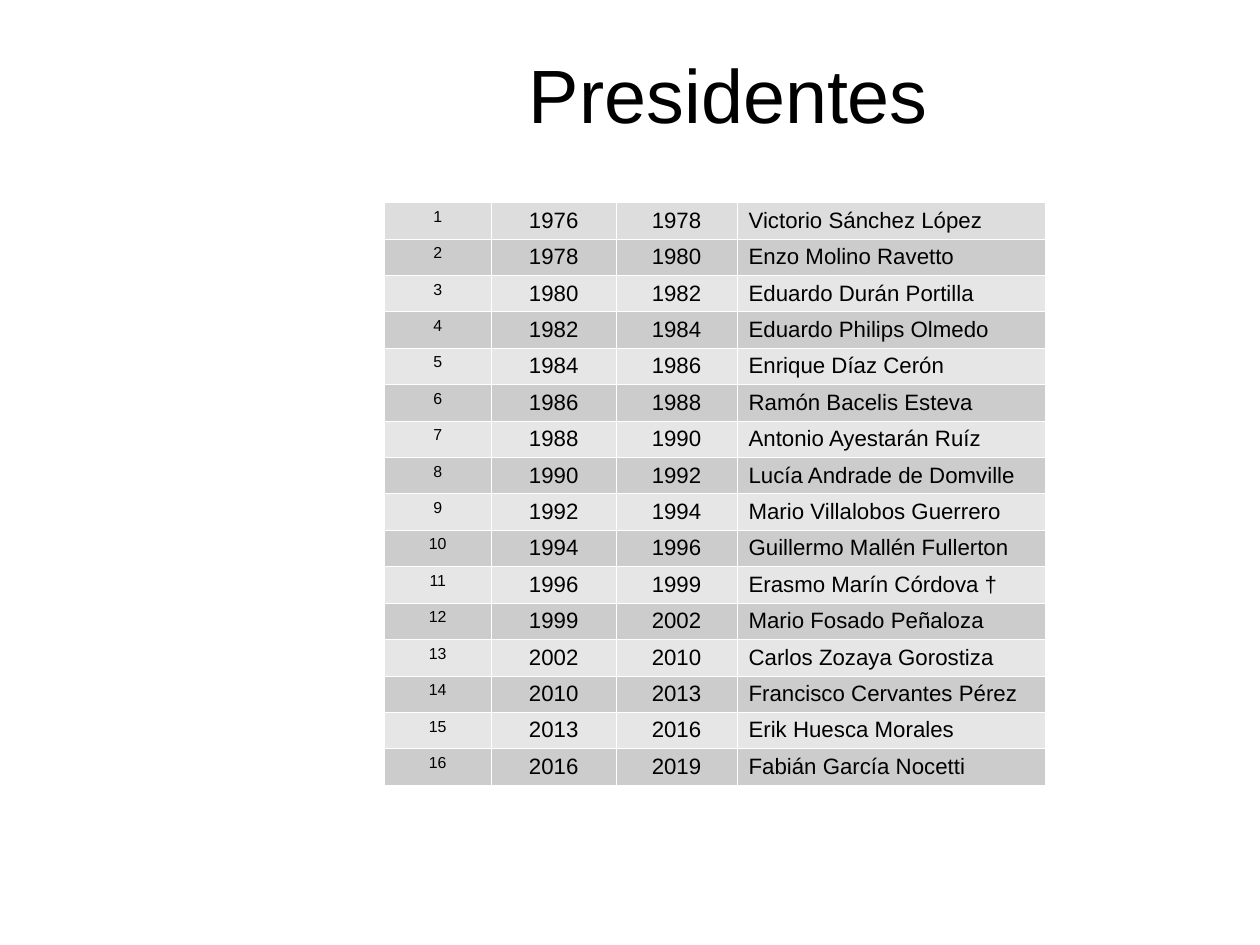
import itertools

import pptx
import pptx.dml.color
import pptx.enum.text
import pptx.oxml.ns
import pptx.util
from lxml import etree

RGBColor = pptx.dml.color.RGBColor
Cm = pptx.util.Cm
Inches = pptx.util.Inches
Pt = pptx.util.Pt
ALIGN = pptx.enum.text.PP_ALIGN

BLACK = RGBColor(0x00, 0x00, 0x00)
WHITE = RGBColor(0xFF, 0xFF, 0xFF)
FIRST_ROW = RGBColor(0xDD, 0xDD, 0xDD)
DARK_ROW = RGBColor(0xCC, 0xCC, 0xCC)
LIGHT_ROW = RGBColor(0xE6, 0xE6, 0xE6)

FONT = "Arial"
BORDER_WIDTH = Pt(0.06)
TABLE_HEIGHT = Inches(5.1)
BOTTOM_MARGIN = Inches(0.03)
COLUMN_WIDTHS = (0.94, 1.09, 1.06, 2.69)
COLUMN_SIZES = (10, 14, 14, 14)
COLUMN_ALIGNS = (ALIGN.CENTER, ALIGN.CENTER, ALIGN.CENTER, ALIGN.LEFT)

# Each term starts in the year the one before it ends.
TERM_YEARS = (1976, 1978, 1980, 1982, 1984, 1986, 1988, 1990, 1992,
              1994, 1996, 1999, 2002, 2010, 2013, 2016, 2019)
PRESIDENTS = (
    "Victorio Sánchez López",
    "Enzo Molino Ravetto",
    "Eduardo Durán Portilla",
    "Eduardo Philips Olmedo",
    "Enrique Díaz Cerón",
    "Ramón Bacelis Esteva",
    "Antonio Ayestarán Ruíz",
    "Lucía Andrade de Domville",
    "Mario Villalobos Guerrero",
    "Guillermo Mallén Fullerton",
    "Erasmo Marín Córdova †",
    "Mario Fosado Peñaloza",
    "Carlos Zozaya Gorostiza",
    "Francisco Cervantes Pérez",
    "Erik Huesca Morales",
    "Fabián García Nocetti",
)


def write(frame, text, size, align):
    para = frame.paragraphs[0]
    para.text = text
    para.alignment = align
    para.font.name = FONT
    para.font.size = Pt(size)
    para.font.color.rgb = BLACK


def add_title(page, text):
    box = page.shapes.add_textbox(Inches(2.83), Inches(0.31), Inches(7.09), Inches(1.02))
    frame = box.text_frame
    frame.word_wrap = True
    frame.vertical_anchor = pptx.enum.text.MSO_ANCHOR.MIDDLE
    frame.margin_left = frame.margin_top = frame.margin_right = frame.margin_bottom = 0
    write(frame, text, 47.6, ALIGN.CENTER)


def add_borders(cell):
    qn = pptx.oxml.ns.qn
    properties = cell._tc.get_or_add_tcPr()
    for side in ("a:lnL", "a:lnR", "a:lnT", "a:lnB"):
        line = etree.SubElement(properties, qn(side), w=str(BORDER_WIDTH))
        fill = etree.SubElement(line, qn("a:solidFill"))
        etree.SubElement(fill, qn("a:srgbClr"), val=str(WHITE))


def row_color(index):
    if index == 0:
        return FIRST_ROW
    return DARK_ROW if index % 2 else LIGHT_ROW


def add_table(page, rows):
    table = page.shapes.add_table(
        len(rows), len(COLUMN_WIDTHS), Inches(3.36), Inches(1.77),
        Inches(sum(COLUMN_WIDTHS)), TABLE_HEIGHT).table
    table.first_row = False
    table.horz_banding = False
    for column, width in zip(table.columns, COLUMN_WIDTHS):
        column.width = Inches(width)
    for index, values in enumerate(rows):
        table.rows[index].height = TABLE_HEIGHT // len(rows)
        for cell, value, size, align in zip(
                table.rows[index].cells, values, COLUMN_SIZES, COLUMN_ALIGNS):
            add_borders(cell)
            cell.margin_bottom = BOTTOM_MARGIN
            cell.fill.solid()
            cell.fill.fore_color.rgb = row_color(index)
            write(cell.text_frame, str(value), size, align)


def main():
    deck = pptx.Presentation()
    deck.slide_width = Cm(28)
    deck.slide_height = Cm(21)
    page = deck.slides.add_slide(deck.slide_layouts[6])
    add_title(page, "Presidentes")
    add_table(page, list(zip(itertools.count(1), TERM_YEARS, TERM_YEARS[1:], PRESIDENTS)))
    deck.save("out.pptx")


if __name__ == "__main__":
    main()
